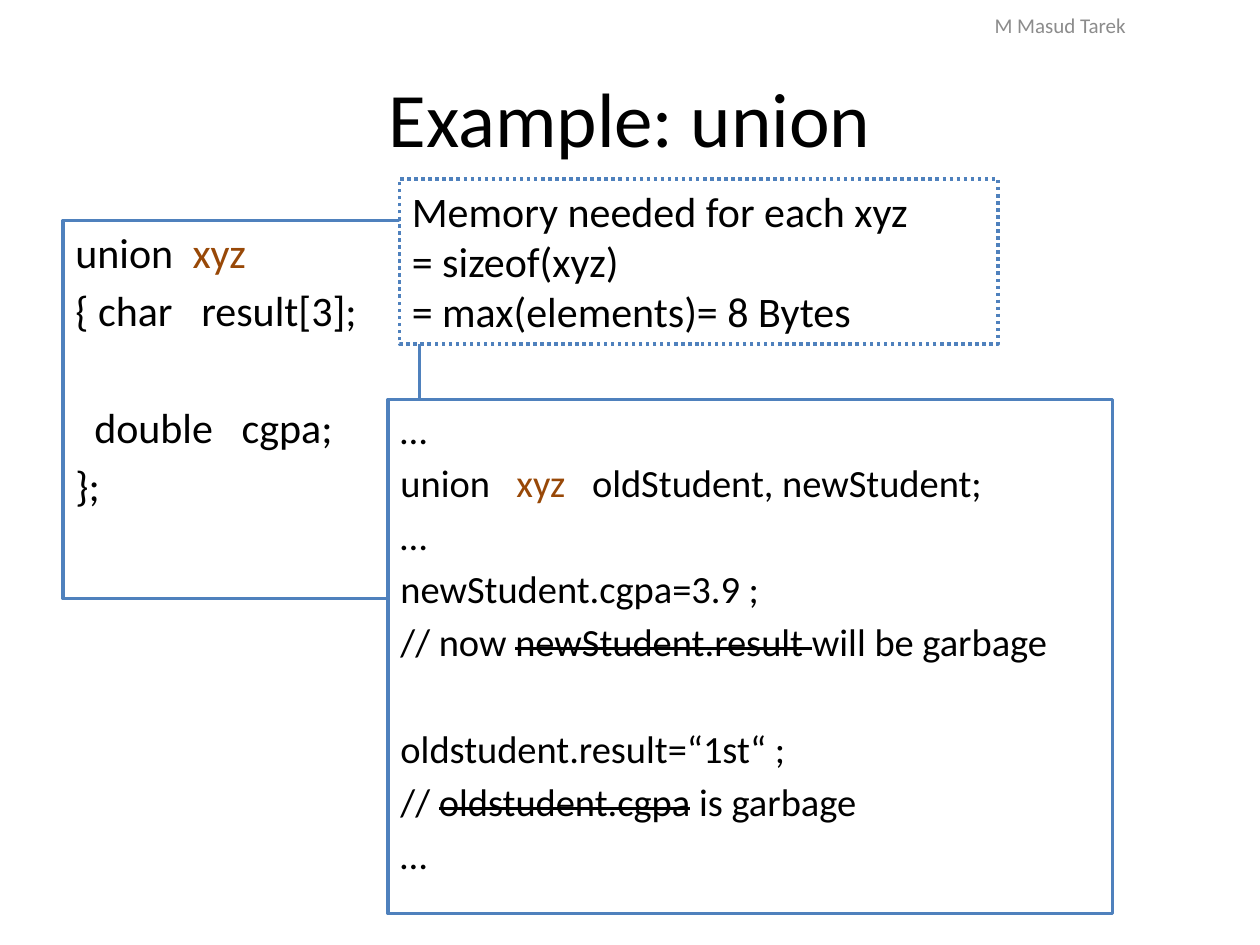
from dataclasses import dataclass

from lxml import etree
from pptx import Presentation
from pptx.dml.color import RGBColor
from pptx.enum.dml import MSO_LINE
from pptx.enum.shapes import MSO_SHAPE
from pptx.enum.text import MSO_ANCHOR, PP_ALIGN
from pptx.oxml.ns import qn
from pptx.util import Inches, Pt

RECTANGLE = MSO_SHAPE.RECTANGLE
DOTTED = MSO_LINE.ROUND_DOT
TOP, MIDDLE = MSO_ANCHOR.TOP, MSO_ANCHOR.MIDDLE
LEFT, CENTER = PP_ALIGN.LEFT, PP_ALIGN.CENTER


@dataclass(frozen=True)
class Theme:
    font: str = "Calibri"
    text: str = "000000"
    type_name: str = "984807"
    header: str = "8C8C8C"
    border: str = "4F81BD"
    background: str = "FFFFFF"
    title_size: float = 44
    code_size: float = 24
    usage_size: float = 22
    header_size: float = 12
    border_width: float = 2
    line_height: float = 1.22
    code_spacing: float = 0.18


THEME = Theme()


@dataclass(frozen=True)
class Line:
    segments: tuple
    tabs: tuple = ()
    gap: bool = False


def plain(text):
    return text, THEME.text, False


def type_name(text):
    return text, THEME.type_name, False


def struck(text):
    return text, THEME.text, True


def line(*segments, tabs=(), gap=False):
    styled = tuple(plain(item) if isinstance(item, str) else item for item in segments)
    return Line(styled, tabs, gap)


def set_tabs(paragraph, positions):
    properties = paragraph._p.get_or_add_pPr()
    tab_list = etree.SubElement(properties, qn("a:tabLst"))
    for position in positions:
        etree.SubElement(tab_list, qn("a:tab"), pos=str(Inches(position)), algn="l")


def add_run(paragraph, text, size, color, strike=False):
    run = paragraph.add_run()
    run.text = text
    run.font.name = THEME.font
    run.font.size = Pt(size)
    run.font.color.rgb = RGBColor.from_string(color)
    if strike:
        run._r.get_or_add_rPr().set("strike", "sngStrike")


def write_lines(text_frame, lines, size, spacing):
    before = size * spacing
    skipped_line = size * THEME.line_height + before
    for index, entry in enumerate(lines):
        paragraph = text_frame.add_paragraph() if index else text_frame.paragraphs[0]
        paragraph.alignment = LEFT
        if index:
            paragraph.space_before = Pt(before + skipped_line * entry.gap)
        if entry.tabs:
            set_tabs(paragraph, entry.tabs)
        for text, color, strike in entry.segments:
            add_run(paragraph, text, size, color, strike)


def add_label(slide, bounds, text, size, color):
    label = slide.shapes.add_textbox(*map(Inches, bounds))
    label.text_frame.word_wrap = True
    label.text_frame.vertical_anchor = MIDDLE
    paragraph = label.text_frame.paragraphs[0]
    paragraph.alignment = CENTER
    add_run(paragraph, text, size, color)


def add_box(slide, bounds, lines, size, spacing=0, dash=None):
    box = slide.shapes.add_shape(RECTANGLE, *map(Inches, bounds))
    box.shadow.inherit = False
    box.fill.solid()
    box.fill.fore_color.rgb = RGBColor.from_string(THEME.background)
    box.line.color.rgb = RGBColor.from_string(THEME.border)
    box.line.width = Pt(THEME.border_width)
    if dash:
        box.line.dash_style = dash
    box.text_frame.word_wrap = True
    box.text_frame.vertical_anchor = TOP
    write_lines(box.text_frame, lines, size, spacing)


def main():
    presentation = Presentation()
    presentation.slide_width = Inches(10)
    presentation.slide_height = Inches(7.5)
    slide = presentation.slides.add_slide(presentation.slide_layouts[6])

    declaration = [
        line("union\t", type_name("xyz"), tabs=(0.93,)),
        line("{ char\tresult[3];", tabs=(1,)),
        line("\tdouble\tcgpa;", tabs=(0.15, 1.32), gap=True),
        line("};"),
    ]
    usage = [
        line("…"),
        line("union\t", type_name("xyz"), "\toldStudent, newStudent;", tabs=(0.92, 1.52)),
        line("…"),
        line("newStudent.cgpa=3.9 ;"),
        line("// now ", struck("newStudent.result "), "will be garbage"),
        line("oldstudent.result=“1st“ ;", gap=True),
        line("// ", struck("oldstudent.cgpa"), " is garbage"),
        line("…"),
    ]
    memory = [
        line("Memory needed for each xyz"),
        line("= sizeof(xyz)"),
        line("= max(elements)= 8 Bytes"),
    ]

    add_label(slide, (0.5, 0.3, 9, 1.25), "Example: union", THEME.title_size, THEME.text)
    add_box(slide, (0.5, 1.75, 2.83, 3), declaration, THEME.code_size, THEME.code_spacing)
    add_box(slide, (3.08, 3.17, 5.75, 4.08), usage, THEME.usage_size, THEME.code_spacing)
    add_box(slide, (3.17, 1.42, 4.75, 1.31), memory, THEME.code_size, dash=DOTTED)
    add_label(slide, (6.83, 0, 3.17, 0.4), "M Masud Tarek", THEME.header_size, THEME.header)

    presentation.save("out.pptx")


main()
